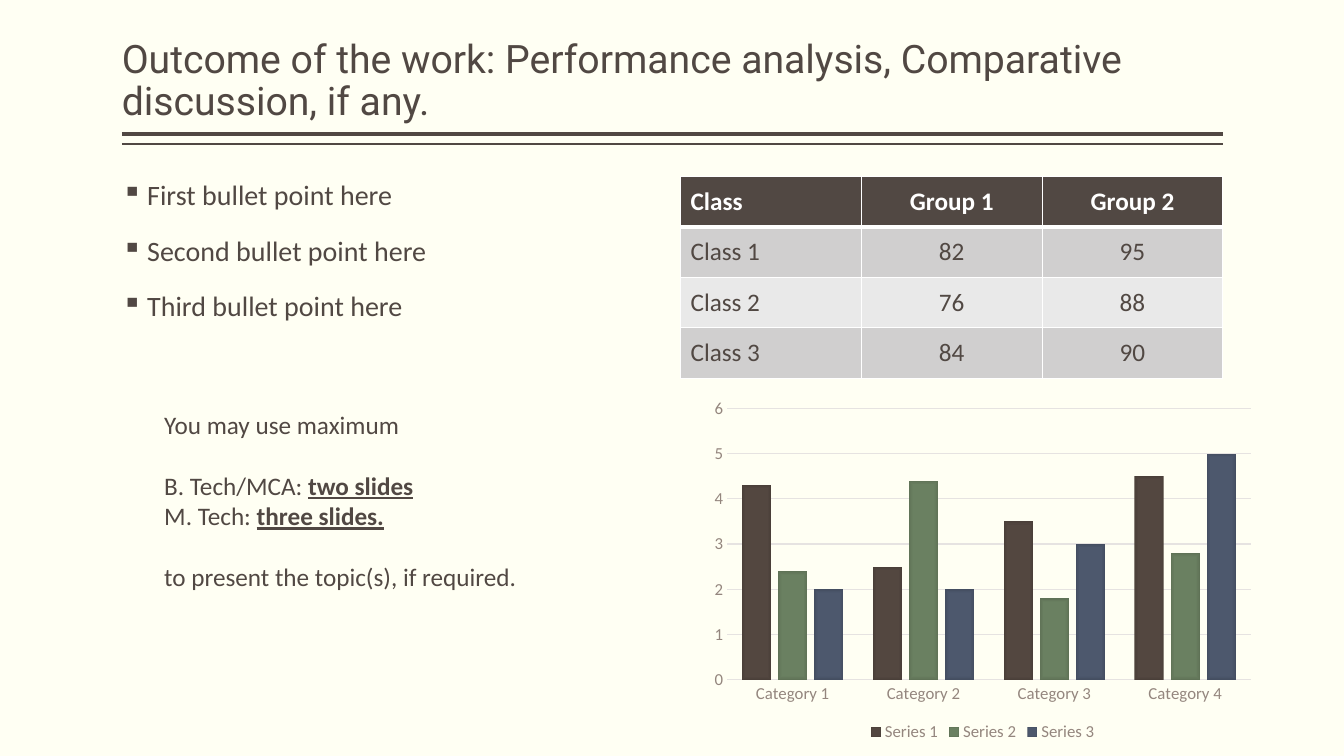
import lxml.etree
import pptx
import pptx.chart.data
import pptx.dml.color
import pptx.enum.chart
import pptx.enum.shapes
import pptx.enum.text
import pptx.oxml
import pptx.oxml.ns
import pptx.util
from pptx.util import Cm

COLORS = {
    "background": "FFFFF3", "text": "514843", "white": "FFFFFF",
    "band dark": "D0CFCF", "band light": "E9E9E9",
    "axis text": "94867E", "grid": "E6E3E1",
}
SERIES = [
    ("Series 1", (4.3, 2.5, 3.5, 4.5), ("544740", "534740", "4A3F39")),
    ("Series 2", (2.4, 4.4, 1.8, 2.8), ("6B8162", "6A8061", "5F7256")),
    ("Series 3", (2, 2, 3, 5), ("4E596E", "4D586D", "444E61")),
]
SCORES = [
    ("Class", "Group 1", "Group 2"),
    ("Class 1", "82", "95"),
    ("Class 2", "76", "88"),
    ("Class 3", "84", "90"),
]
BULLETS = ["First bullet point here", "Second bullet point here", "Third bullet point here"]
NOTE_LINES = [
    ("You may use maximum", "", 0),
    ("B. Tech/MCA: ", "two slides", 22),
    ("M. Tech: ", "three slides.", 0),
    ("to present the topic(s), if required.", "", 22),
]


def rgb(name):
    """Return the palette colour with this name."""
    return pptx.dml.color.RGBColor.from_string(COLORS[name])


def style_font(font, size, color, name="Calibri", bold=False):
    """Set typeface, size, colour and weight."""
    font.name, font.size, font.bold = name, pptx.util.Pt(size), bold
    font.color.rgb = rgb(color)


def add_text_frame(slide, box, side_margin, wrap=True):
    """Add a text box and return its frame."""
    frame = slide.shapes.add_textbox(*box).text_frame
    frame.word_wrap = wrap
    frame.margin_left = frame.margin_right = side_margin
    return frame


def fill_paragraphs(frame, count):
    """Return the frame's paragraphs after extending it to the count."""
    for _ in range(count - 1):
        frame.add_paragraph()
    return frame.paragraphs


def add_title(slide, left, top, width, height):
    """Place the heading with a thick and a thin rule below it."""
    frame = add_text_frame(slide, (left, top, width, height), 0)
    frame.vertical_anchor = pptx.enum.text.MSO_ANCHOR.BOTTOM
    paragraph = frame.paragraphs[0]
    paragraph.text = "Outcome of the work: Performance analysis, Comparative discussion, if any."
    paragraph.line_spacing = 0.9
    style_font(paragraph.font, 28, "text", "Roboto")
    for gap, weight in ((Cm(0.13), 3), (Cm(0.38), 1)):
        rule_top = top + height + gap
        rule = slide.shapes.add_connector(
            pptx.enum.shapes.MSO_CONNECTOR.STRAIGHT, left, rule_top, left + width, rule_top)
        rule.line.color.rgb = rgb("text")
        rule.line.width = pptx.util.Pt(weight)
        lxml.etree.SubElement(rule._element.spPr, pptx.oxml.ns.qn("a:effectLst"))


def add_bullets(slide, left, top, width, height):
    """Place the list of square-bulleted points."""
    frame = add_text_frame(slide, (left, top, width, height), 0)
    for paragraph, text in zip(fill_paragraphs(frame, len(BULLETS)), BULLETS):
        paragraph.text = text
        paragraph.line_spacing = 0.9
        paragraph.space_before = pptx.util.Pt(18)
        style_font(paragraph.font, 20, "text")
        properties = paragraph._p.get_or_add_pPr()
        properties.set("marL", str(Cm(0.64)))
        properties.set("indent", str(-Cm(0.64)))
        bullet = pptx.oxml.parse_xml(
            f'<a:buChar {pptx.oxml.ns.nsdecls("a")} char="▪"/>')
        properties.find(pptx.oxml.ns.qn("a:spcBef")).addnext(bullet)


def add_note(slide, left, top, width, height):
    """Place the note on how many slides are allowed."""
    frame = add_text_frame(slide, (left, top, width, height), Cm(0.25), wrap=False)
    paragraphs = fill_paragraphs(frame, len(NOTE_LINES))
    for paragraph, (plain, strong, space) in zip(paragraphs, NOTE_LINES):
        paragraph.space_before = pptx.util.Pt(space)
        style_font(paragraph.font, 18, "text")
        paragraph.add_run().text = plain
        if strong:
            run = paragraph.add_run()
            run.text = strong
            run.font.bold = run.font.underline = True


def set_borders(cell, weights):
    """Draw white borders with the given point weight on each side."""
    properties = cell._tc.get_or_add_tcPr()
    for side, weight in weights.items():
        properties.append(pptx.oxml.parse_xml(
            f'<a:ln{side} {pptx.oxml.ns.nsdecls("a")} w="{pptx.util.Pt(weight)}">'
            f'<a:solidFill><a:srgbClr val="{COLORS["white"]}"/></a:solidFill></a:ln{side}>'))


def add_score_table(slide, left, top, width, height):
    """Place the table of class scores."""
    table = slide.shapes.add_table(
        len(SCORES), len(SCORES[0]), left, top, width, height).table
    for row_index, row in enumerate(SCORES):
        header = row_index == 0
        band = "text" if header else ("band light", "band dark")[row_index % 2]
        for column_index, text in enumerate(row):
            cell = table.cell(row_index, column_index)
            set_borders(cell, {"L": 1, "R": 1, "T": 3 if row_index == 1 else 1,
                               "B": 3 if header else 1})
            cell.fill.solid()
            cell.fill.fore_color.rgb = rgb(band)
            cell.vertical_anchor = pptx.enum.text.MSO_ANCHOR.MIDDLE
            paragraph = cell.text_frame.paragraphs[0]
            paragraph.text = text
            if column_index:
                paragraph.alignment = pptx.enum.text.PP_ALIGN.CENTER
            style_font(paragraph.font, 18, "white" if header else "text", bold=header)


def fill_with_gradient(series, colors):
    """Fill the bars with a gradient that darkens towards the edges."""
    stops = "".join(
        f'<a:gs pos="{position}"><a:srgbClr val="{color}"/></a:gs>'
        for position, color in zip((0, 71000, 100000), colors))
    properties = series._element.get_or_add_spPr()
    properties.insert(0, pptx.oxml.parse_xml(
        f'<a:gradFill {pptx.oxml.ns.nsdecls("a")}><a:gsLst>{stops}</a:gsLst><a:path path="rect">'
        '<a:fillToRect l="50000" t="50000" r="50000" b="50000"/></a:path></a:gradFill>'))


def add_series_chart(slide, left, top, width, height):
    """Place the clustered column chart with its legend."""
    data = pptx.chart.data.CategoryChartData()
    data.categories = [f"Category {number}" for number in range(1, 5)]
    for name, values, _ in SERIES:
        data.add_series(name, values)
    chart = slide.shapes.add_chart(
        pptx.enum.chart.XL_CHART_TYPE.COLUMN_CLUSTERED, left, top, width, height, data).chart
    style_font(chart.font, 10, "text")
    chart.has_title = False
    chart.has_legend = True
    chart.legend.position = pptx.enum.chart.XL_LEGEND_POSITION.BOTTOM
    chart.legend.include_in_layout = False
    style_font(chart.legend.font, 12, "axis text")
    plot = chart.plots[0]
    plot.gap_width, plot.overlap, plot.vary_by_categories = 100, -24, False
    for series, (_, _, colors) in zip(plot.series, SERIES):
        fill_with_gradient(series, colors)
    for axis in (chart.category_axis, chart.value_axis):
        axis.major_tick_mark = axis.minor_tick_mark = pptx.enum.chart.XL_TICK_MARK.NONE
        style_font(axis.tick_labels.font, 12, "axis text")
    chart.value_axis.format.line.fill.background()
    grid_line = chart.value_axis.major_gridlines.format.line
    for line, weight in ((chart.category_axis.format.line, 1), (grid_line, 0.75)):
        line.color.rgb = rgb("grid")
        line.width = pptx.util.Pt(weight)


def main():
    """Build the slide and save it."""
    presentation = pptx.Presentation()
    presentation.slide_width, presentation.slide_height = Cm(33.87), Cm(19.05)
    slide = presentation.slides.add_slide(presentation.slide_layouts[6])
    slide.background.fill.solid()
    slide.background.fill.fore_color.rgb = rgb("background")
    left, column_top, column_width = Cm(3.07), Cm(4.45), Cm(13.67)
    add_title(slide, left, Cm(0.2), Cm(27.74), Cm(3.05))
    add_bullets(slide, left, column_top, column_width, Cm(5.2))
    add_score_table(slide, Cm(17.15), column_top, column_width, Cm(5.08))
    add_series_chart(slide, Cm(17.73), Cm(9.86), Cm(14.07), Cm(8.94))
    add_note(slide, Cm(3.89), Cm(10.19), Cm(11.15), Cm(5.64))
    presentation.save("out.pptx")


if __name__ == "__main__":
    main()
